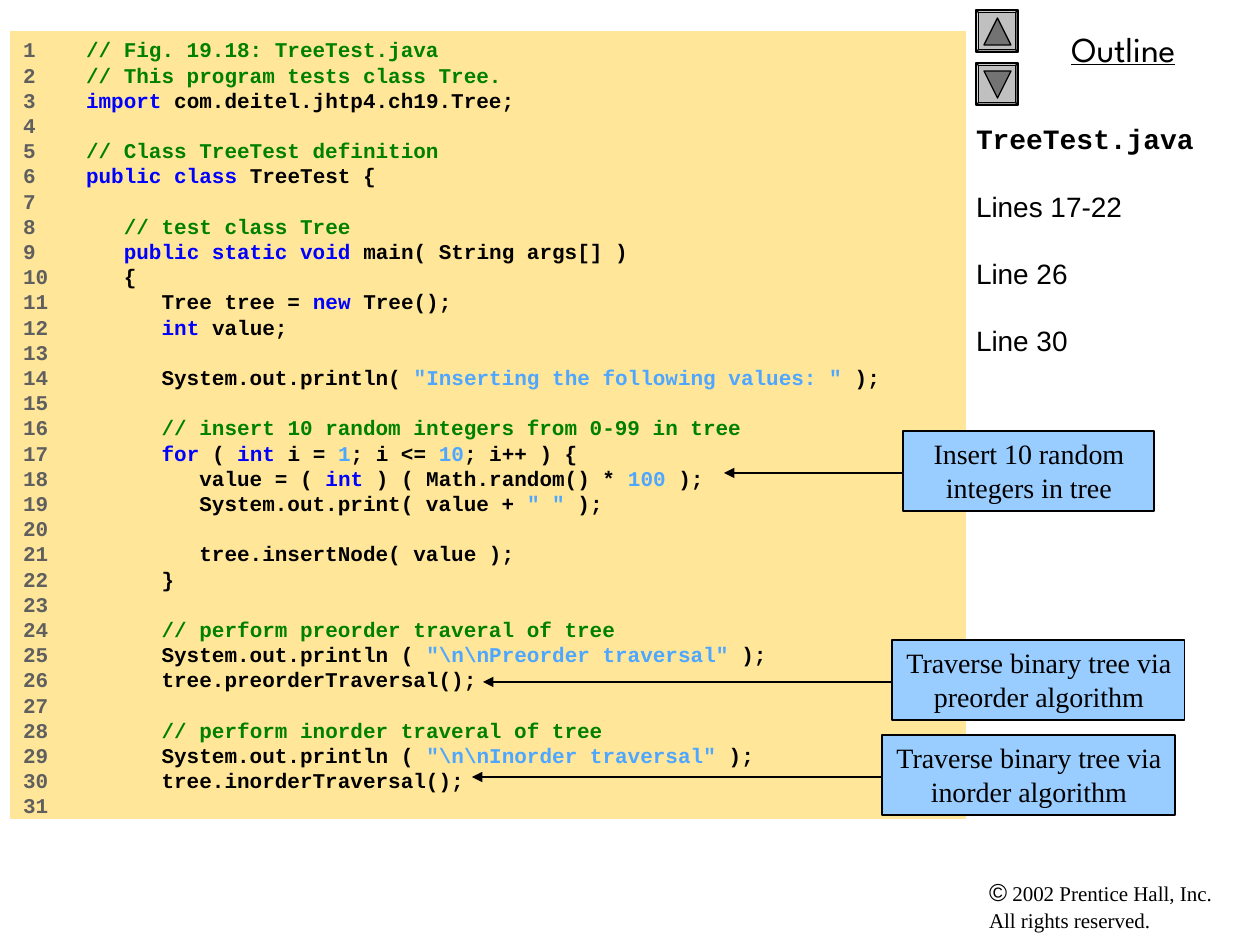
"""Build a slide showing a tree test program with callouts on its key lines."""
from dataclasses import dataclass
from typing import Any

from lxml.etree import SubElement
from pptx import Presentation
from pptx.dml.color import RGBColor
from pptx.enum.shapes import MSO_CONNECTOR as CONN, MSO_SHAPE as SHAPE
from pptx.enum.text import MSO_ANCHOR as ANCHOR, PP_ALIGN as ALIGN
from pptx.oxml.ns import qn
from pptx.util import Inches, Pt

PX = 7257
BLACK = RGBColor(0x00, 0x00, 0x00)
CREAM = RGBColor(0xFF, 0xE6, 0x99)
SKY = RGBColor(0x99, 0xCC, 0xFF)
SILVER = RGBColor(0xC0, 0xC0, 0xC0)
GREY = RGBColor(0x73, 0x73, 0x73)
NUMBER = RGBColor(0x5F, 0x5F, 0x5F)
ROLES = {
    "c": RGBColor(0x00, 0x80, 0x00),
    "k": RGBColor(0x00, 0x00, 0xFF),
    "s": RGBColor(0x4D, 0xA6, 0xFF),
}
MONO = {"name": "Courier New", "bold": True}
SANS = {"name": "Arial", "bold": False}
SERIF = {"name": "Times New Roman", "bold": False}

CODE = (
    "|c// Fig. 19.18: TreeTest.java|",
    "|c// This program tests class Tree.|",
    "|kimport| com.deitel.jhtp4.ch19.Tree;",
    "",
    "|c// Class TreeTest definition|",
    "|kpublic class| TreeTest {",
    "",
    "   |c// test class Tree|",
    "   |kpublic static void| main( String args[] )",
    "   {",
    "      Tree tree = |knew| Tree();",
    "      |kint| value;",
    "",
    '      System.out.println( |s"Inserting the following values: "| );',
    "",
    "      |c// insert 10 random integers from 0-99 in tree|",
    "      |kfor| ( |kint| i = |s1|; i <= |s10|; i++ ) {",
    "         value = ( |kint| ) ( Math.random() * |s100| );",
    '         System.out.print( value + |s" "| );',
    "",
    "         tree.insertNode( value );",
    "      }",
    "",
    "      |c// perform preorder traveral of tree|",
    r'      System.out.println ( |s"\n\nPreorder traversal"| );',
    "      tree.preorderTraversal();",
    "",
    "      |c// perform inorder traveral of tree|",
    r'      System.out.println ( |s"\n\nInorder traversal"| );',
    "      tree.inorderTraversal();",
    "",
)


@dataclass(frozen=True)
class Box:
    x: int
    y: int
    w: int
    h: int


@dataclass(frozen=True)
class Callout:
    box: Box
    tip: int
    text: str


@dataclass(frozen=True)
class Button:
    y: int
    turn: int


CALLOUTS = (
    Callout(Box(903, 431, 251, 80), 724, "Insert 10 random integers in tree"),
    Callout(Box(892, 640, 293, 80), 483, "Traverse binary tree via preorder algorithm"),
    Callout(Box(882, 735, 293, 80), 472, "Traverse binary tree via inorder algorithm"),
)
BUTTONS = (Button(10, 0), Button(63, 180))


def add_run(p: Any, text: str, size: float, color: RGBColor = BLACK, **fmt: Any) -> None:
    r = p.add_run()
    r.text = text
    r.font.color.rgb = color
    for key, value in {"size": Pt(size), **fmt}.items():
        setattr(r.font, key, value)


def set_par(p: Any, leading: float, before: float = 0, align: Any = ALIGN.LEFT) -> None:
    values = {"line_spacing": Pt(leading), "space_before": Pt(before),
              "space_after": Pt(0), "alignment": align}
    for key, value in values.items():
        setattr(p, key, value)


def set_frame(sp: Any, left: int = 13) -> Any:
    tf = sp.text_frame
    values = {"word_wrap": True, "vertical_anchor": ANCHOR.TOP,
              "margin_left": left * PX, "margin_right": 12 * PX,
              "margin_top": 6 * PX, "margin_bottom": 6 * PX}
    for key, value in values.items():
        setattr(tf, key, value)
    return tf


def add_text(s: Any, box: Box, left: int = 13) -> Any:
    sp = s.shapes.add_textbox(box.x * PX, box.y * PX, box.w * PX, box.h * PX)
    return set_frame(sp, left)


def add_block(s: Any, kind: Any, box: Box, fill: RGBColor, outlined: bool = True) -> Any:
    sp = s.shapes.add_shape(kind, box.x * PX, box.y * PX, box.w * PX, box.h * PX)
    sp.shadow.inherit = False
    sp.fill.solid()
    sp.fill.fore_color.rgb = fill
    if outlined:
        sp.line.color.rgb = BLACK
        sp.line.width = Pt(0.75)
    else:
        sp.line.fill.background()
    return sp


def draw_button(s: Any, button: Button) -> None:
    bevel = add_block(s, SHAPE.BEVEL, Box(976, button.y, 42, 42), SILVER)
    bevel.adjustments[0] = 0.06
    box = Box(984, button.y + 8, 27, 27)
    add_block(s, SHAPE.ISOSCELES_TRIANGLE, box, GREY).rotation = button.turn


def draw_code(s: Any) -> None:
    tf = set_frame(add_block(s, SHAPE.RECTANGLE, Box(10, 31, 956, 788), CREAM, False))
    for n, line in enumerate(CODE, 1):
        p = tf.paragraphs[0] if n == 1 else tf.add_paragraph()
        set_par(p, 14.4)
        add_run(p, f"{n:<5}" if line else str(n), 12, NUMBER, **MONO)
        for i, part in enumerate(line.split("|")):
            if i % 2:
                add_run(p, part[1:], 12, ROLES[part[0]], **MONO)
            elif part:
                add_run(p, part, 12, **MONO)


def draw_callout(s: Any, callout: Callout) -> None:
    box = callout.box
    y = (box.y + 42) * PX
    arrow = s.shapes.add_connector(CONN.STRAIGHT, (box.x + 4) * PX, y, callout.tip * PX, y)
    arrow.line.color.rgb = BLACK
    arrow.line.width = Pt(0.75)
    SubElement(arrow.line._get_or_add_ln(), qn("a:tailEnd"), type="triangle")
    SubElement(arrow._element.spPr, qn("a:effectLst"))
    p = set_frame(add_block(s, SHAPE.RECTANGLE, box, SKY)).paragraphs[0]
    set_par(p, 19.2, align=ALIGN.CENTER)
    add_run(p, callout.text, 16, **SERIF)


def draw_margin(s: Any) -> None:
    p = add_text(s, Box(986, 21, 274, 55)).paragraphs[0]
    set_par(p, 24, align=ALIGN.CENTER)
    add_run(p, "Outline", 20, name="League Spartan", underline=True)

    tf = add_text(s, Box(976, 116, 284, 756), 0)
    for i, text in enumerate(("TreeTest.java", "Lines 17-22", "Line 26", "Line 30")):
        p = tf.add_paragraph() if i else tf.paragraphs[0]
        set_par(p, 19.2, 19.2 if i else 0)
        add_run(p, text, 16, **(SANS if i else MONO))

    p = add_text(s, Box(976, 875, 274, 65)).paragraphs[0]
    set_par(p, 14.8)
    add_run(p, "©", 14, **SANS)
    add_run(p, " 2002 Prentice Hall, Inc.", 12, **SERIF)
    p.add_line_break()
    add_run(p, "All rights reserved.", 12, **SERIF)


def main() -> None:
    prs = Presentation()
    prs.slide_width, prs.slide_height = Inches(10), Inches(7.5)
    s = prs.slides.add_slide(prs.slide_layouts[6])
    draw_margin(s)
    for button in BUTTONS:
        draw_button(s, button)
    draw_code(s)
    for callout in CALLOUTS:
        draw_callout(s, callout)
    prs.save("out.pptx")


if __name__ == "__main__":
    main()
